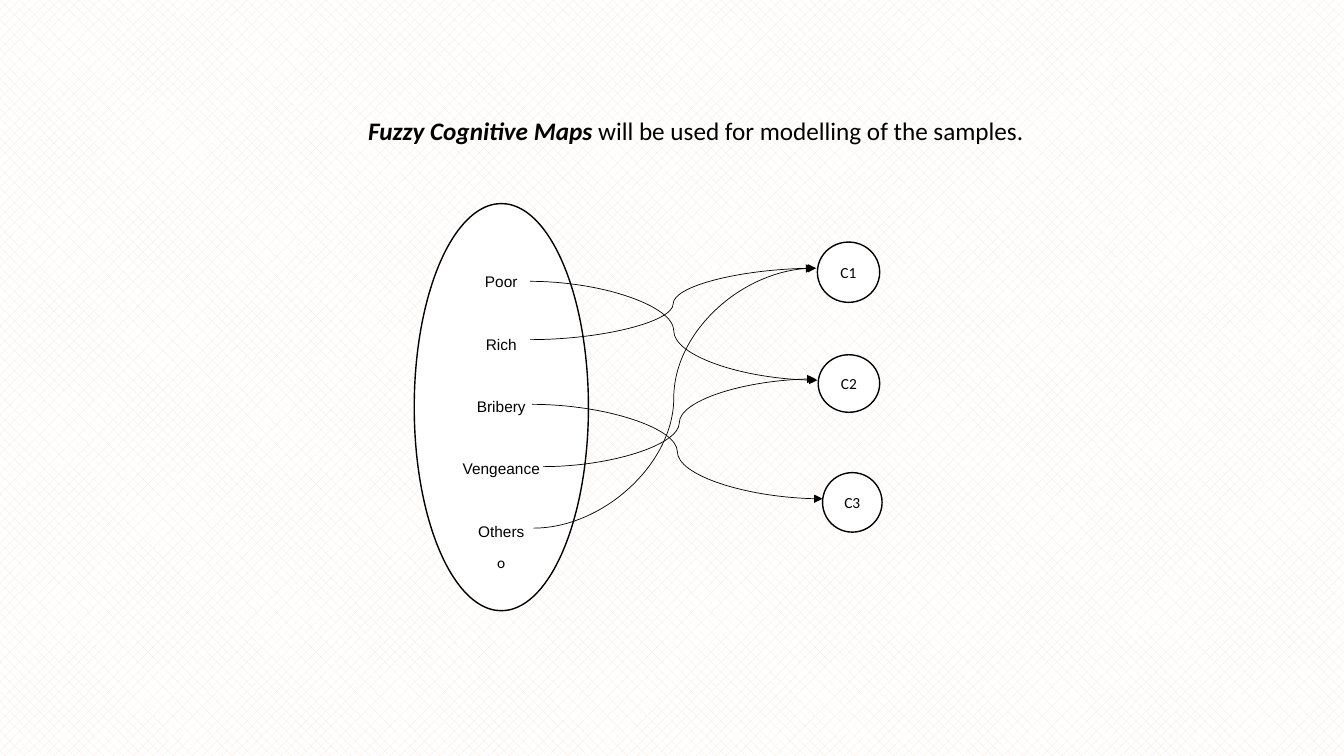
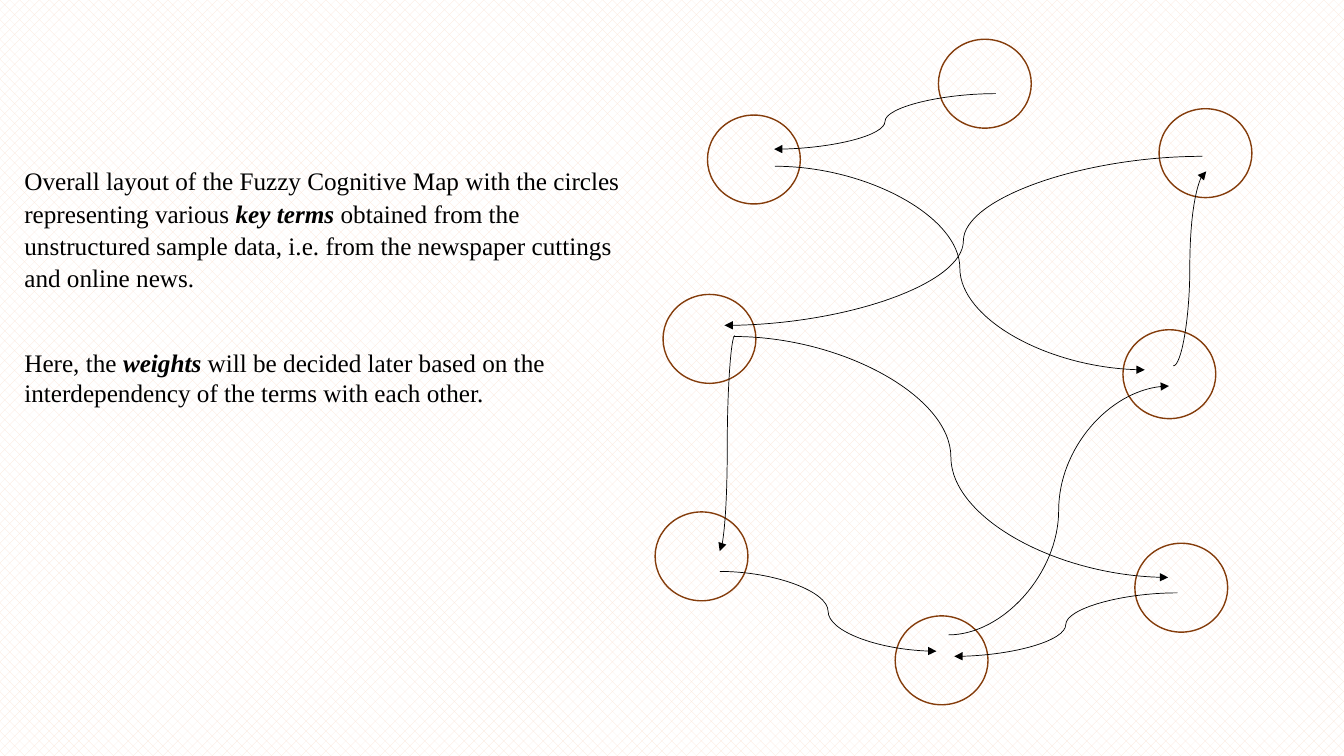
"""Build two slides explaining the fuzzy cognitive map model."""
from dataclasses import dataclass

from lxml.etree import SubElement
from pptx import Presentation
from pptx.dml.color import RGBColor
from pptx.enum.dml import MSO_PATTERN_TYPE as Pattern
from pptx.enum.shapes import MSO_CONNECTOR as Connector, MSO_SHAPE as Shape
from pptx.enum.text import MSO_ANCHOR as Anchor, MSO_AUTO_SIZE as AutoSize, PP_ALIGN as Align
from pptx.oxml.ns import qn
from pptx.util import Cm, Pt


@dataclass(frozen=True)
class Theme:
    ink: RGBColor = RGBColor(0x00, 0x00, 0x00)
    paper: RGBColor = RGBColor(0xFF, 0xFF, 0xFF)
    hatch: RGBColor = RGBColor(0xFB, 0xE5, 0xD6)
    ring: RGBColor = RGBColor(0x84, 0x3C, 0x0B)
    heading_font: str = "Calibri"
    term_font: str = "Arial"
    body_font: str = "Times New Roman"
    text_size: float = 18
    label_size: float = 11
    outline: float = 1
    arrow: float = 0.5


THEME = Theme()
SLIDE_SIZE = (33.87, 19.05)

HEADING = [("Fuzzy Cognitive Maps", True), (" will be used for modelling of the samples.", False)]
HEADING_BOX = (9.02, 2.77, 17.07, 1.8)
TERMS = ["Poor", "Rich", "Bribery", "Vengeance", "Others"]
TERM_MARK = "o"
TERM_OVAL = (10.44, 5.13, 4.39, 10.26)
CONCEPTS = {
    "C1": (20.6, 6.1, 1.57, 1.52),
    "C2": (20.62, 8.94, 1.55, 1.45),
    "C3": (20.73, 11.91, 1.5, 1.5),
}
TERM_ARROWS = [
    (13.36, 7.09, 20.6, 9.58),
    (13.36, 8.56, 20.57, 6.76),
    (13.69, 11.76, 20.55, 9.55),
    (13.41, 10.19, 20.73, 12.57),
    (13.44, 13.31, 20.52, 6.76),
]

LAYOUT_TEXT = [
    ("Overall layout of the Fuzzy Cognitive Map with the circles representing various ", False),
    ("key terms", True),
    (" obtained from the unstructured sample data, i.e. from the newspaper cuttings "
     "and online news.", False),
]
WEIGHTS_TEXT = [
    ("Here, the ", False),
    ("weights", True),
    (" will be decided later based on the interdependency of the terms with each other.", False),
]
BODY_BOX = (0.36, 3.99, 16.08, 6.48)
NODE_SIZE = (2.34, 2.24)
NODES = [
    (16.71, 7.42), (17.83, 2.9), (16.51, 12.9), (22.56, 15.52),
    (23.65, 0.99), (29.21, 2.74), (28.3, 8.31), (28.6, 13.69),
]
NODE_ARROWS = [
    (19.53, 4.19, 28.85, 9.32),
    (18.52, 8.46, 18.14, 13.89),
    (18.14, 14.4, 23.6, 16.41),
    (18.49, 8.48, 29.44, 14.55),
    (25.1, 2.36, 19.51, 3.76),
    (30.3, 3.94, 18.26, 8.2),
    (29.57, 9.22, 30.4, 4.32),
    (29.67, 14.94, 24.05, 16.54),
    (23.9, 16, 29.46, 9.73),
]


def to_cm(values):
    return [Cm(value) for value in values]


def write(paragraph, runs, *, font, size, align=Align.LEFT, spacing=1.0, after=0):
    """Write (text, emphasised) runs into a paragraph."""
    paragraph.alignment = align
    paragraph.line_spacing = spacing
    paragraph.space_before = Pt(0)
    paragraph.space_after = Pt(after)
    for text, emphasised in runs:
        run = paragraph.add_run()
        run.text = text
        run.font.name = font
        run.font.size = Pt(size)
        run.font.color.rgb = THEME.ink
        run.font.bold = run.font.italic = emphasised


def place(placeholder, box):
    """Move a placeholder and return its text frame, anchored at the top."""
    placeholder.left, placeholder.top, placeholder.width, placeholder.height = to_cm(box)
    frame = placeholder.text_frame
    frame.word_wrap = True
    frame.auto_size = AutoSize.NONE
    frame.vertical_anchor = Anchor.TOP
    return frame


def remove_bullet(paragraph):
    properties = paragraph._p.get_or_add_pPr()
    properties.set("marL", "0")
    properties.set("indent", "0")
    SubElement(properties, qn("a:buNone"))


def add_ellipse(slide, box, line, fill=None):
    ellipse = slide.shapes.add_shape(Shape.OVAL, *to_cm(box))
    ellipse.shadow.inherit = False
    if fill is None:
        ellipse.fill.background()
    else:
        ellipse.fill.solid()
        ellipse.fill.fore_color.rgb = fill
    ellipse.line.color.rgb = line
    ellipse.line.width = Pt(THEME.outline)
    frame = ellipse.text_frame
    frame.vertical_anchor = Anchor.MIDDLE
    frame.margin_left = frame.margin_right = frame.margin_top = frame.margin_bottom = 0
    return ellipse


def add_arrows(slide, arrows):
    for ends in arrows:
        arrow = slide.shapes.add_connector(Connector.CURVE, *to_cm(ends))
        arrow.line.color.rgb = THEME.ink
        arrow.line.width = Pt(THEME.arrow)
        properties = arrow.element.find(qn("p:spPr"))
        SubElement(properties.find(qn("a:ln")), qn("a:tailEnd"), type="triangle")
        SubElement(properties, qn("a:effectLst"))


def build_terms_slide(presentation):
    slide = presentation.slides.add_slide(presentation.slide_layouts[5])
    heading = place(slide.shapes.title, HEADING_BOX)
    write(heading.paragraphs[0], HEADING, font=THEME.heading_font, size=THEME.text_size)

    for name, box in CONCEPTS.items():
        circle = add_ellipse(slide, box, THEME.ink, THEME.paper)
        write(circle.text_frame.paragraphs[0], [(name, False)], font=THEME.heading_font,
              size=THEME.label_size, align=Align.CENTER)

    frame = add_ellipse(slide, TERM_OVAL, THEME.ink, THEME.paper).text_frame
    frame.margin_top = Cm(0.71)
    rows = [(term, THEME.term_font, 30.4) for term in TERMS[:-1]]
    rows += [(TERMS[-1], THEME.term_font, 8), (TERM_MARK, THEME.heading_font, 0)]
    for index, (text, font, after) in enumerate(rows):
        paragraph = frame.add_paragraph() if index else frame.paragraphs[0]
        write(paragraph, [(text, False)], font=font, size=THEME.label_size,
              align=Align.CENTER, spacing=1.07, after=after)
    add_arrows(slide, TERM_ARROWS)


def build_map_slide(presentation):
    slide = presentation.slides.add_slide(presentation.slide_layouts[1])
    title = slide.shapes.title.element
    title.getparent().remove(title)
    frame = place(slide.placeholders[1], BODY_BOX)
    body_format = {"font": THEME.body_font, "size": THEME.text_size}
    write(frame.paragraphs[0], LAYOUT_TEXT, spacing=1.07, after=39, **body_format)
    write(frame.add_paragraph(), WEIGHTS_TEXT, **body_format)
    for paragraph in frame.paragraphs:
        remove_bullet(paragraph)

    for position in NODES:
        add_ellipse(slide, position + NODE_SIZE, THEME.ring)
    add_arrows(slide, NODE_ARROWS)


def main():
    presentation = Presentation()
    presentation.slide_width, presentation.slide_height = to_cm(SLIDE_SIZE)
    background = presentation.slide_master.background.fill
    background.patterned()
    background.pattern = Pattern.PERCENT_30
    background.fore_color.rgb = THEME.hatch
    background.back_color.rgb = THEME.paper
    build_terms_slide(presentation)
    build_map_slide(presentation)
    presentation.save("out.pptx")


if __name__ == "__main__":
    main()
